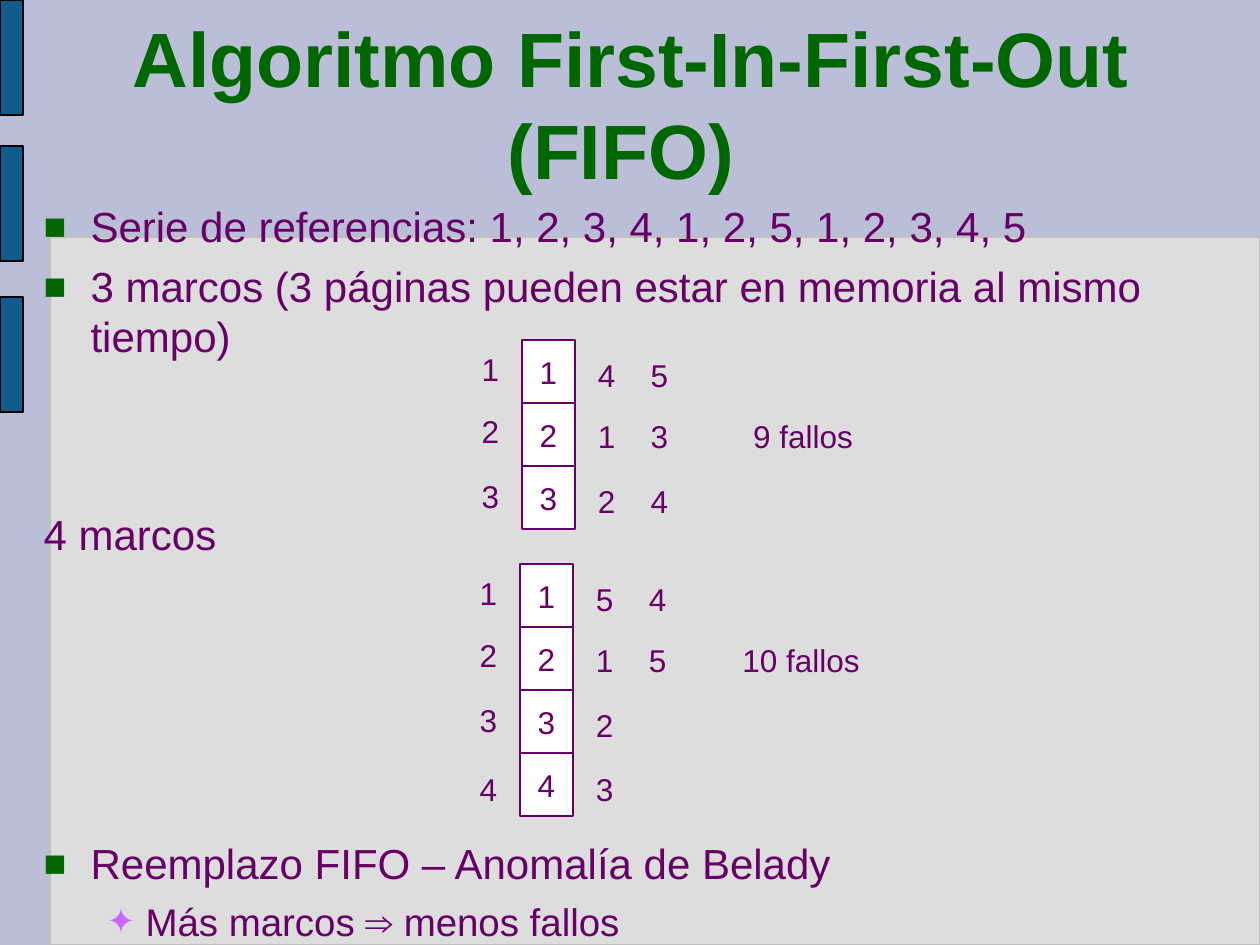
from dataclasses import dataclass

from lxml import etree
from pptx import Presentation
from pptx.dml.color import RGBColor
from pptx.enum.shapes import MSO_SHAPE
from pptx.enum.text import MSO_ANCHOR, MSO_AUTO_SIZE, PP_ALIGN
from pptx.oxml.ns import qn
from pptx.util import Emu, Pt

RECT = MSO_SHAPE.RECTANGLE
MIDDLE, TOP = MSO_ANCHOR.MIDDLE, MSO_ANCHOR.TOP
CENTER, LEFT = PP_ALIGN.CENTER, PP_ALIGN.LEFT
FIXED = MSO_AUTO_SIZE.NONE


@dataclass(frozen=True)
class Theme:
    font: str = "Arial"
    back: str = "BABED6"
    panel: str = "DDDDDD"
    edge: str = "C0C0C0"
    bar: str = "125C8D"
    black: str = "000000"
    white: str = "FFFFFF"
    green: str = "006600"
    ink: str = "660066"
    star: str = "CC66FF"
    title: int = 44
    body: int = 24
    sub: int = 22
    label: int = 18


THEME = Theme()

TITLE = "Algoritmo First-In-First-Out (FIFO) "
SQUARE = dict(mark="■", tint=THEME.green, indent=47, hang=47)
STAR = dict(mark="✦", tint=THEME.star, indent=102, hang=39, level=1, size=THEME.sub)
PLAIN = dict(indent=47, hang=47)
# text, gap above in px, format
ITEMS = [
    ("Serie de referencias: 1, 2, 3, 4, 1, 2, 5, 1, 2, 3, 4, 5", 0, SQUARE),
    ("3 marcos (3 páginas pueden estar en memoria al mismo tiempo)", 10, SQUARE),
    ("4 marcos", 148, PLAIN),
    ("Reemplazo FIFO – Anomalía de Belady", 279, SQUARE),
    ("Más marcos ⇒ menos fallos", 6, STAR),
]
# The columns after the frames hold the pages that replace the first ones.
STACKS = [
    dict(left=522, top=340, frames="123", later=["412", "534"], faults="9 fallos"),
    dict(left=520, top=564, frames="1234", later=["5123", "45"], faults="10 fallos"),
]
BARS = [0, 146, 297]

LINE = 50
CELL_W, CELL_H = 53, 63
TAG_W, TAG_H = 43, 50
INDEX_X, LATER_X, LATER_STEP = -53, 63, 53
INDEX_Y = [4, 66, 131, 200]
LATER_Y = [10, 71, 136, 200]
FAULT_X, FAULT_W = 210, 142


def px(n):
    return Emu(round(n * 914400 / 126))


def rgb(code):
    return RGBColor.from_string(code)


def put(frame, text, new=False, size=THEME.label, color=THEME.ink, bold=False,
        align=CENTER, anchor=MIDDLE, wrap=False, level=0, gap=0, line=None,
        indent=0, hang=0, mark=None, tint=None):
    """Write one paragraph, in the first one of the frame unless new is set."""
    frame.word_wrap = wrap
    frame.auto_size = FIXED
    frame.vertical_anchor = anchor
    para = frame.add_paragraph() if new else frame.paragraphs[0]
    para.alignment, para.level, para.space_before = align, level, px(gap)
    if line:
        para.line_spacing = px(line)
    run = para.add_run()
    run.text = text
    font = run.font
    font.name, font.size, font.bold = THEME.font, Pt(size), bold
    font.color.rgb = rgb(color)

    props = para._p.get_or_add_pPr()
    props.set("marL", str(px(indent)))
    props.set("indent", str(-px(hang)))
    if mark:
        hue = etree.SubElement(props, qn("a:buClr"))
        etree.SubElement(hue, qn("a:srgbClr"), val=tint)
        etree.SubElement(props, qn("a:buSzPct"), val="90000")
        etree.SubElement(props, qn("a:buChar"), char=mark)
    else:
        etree.SubElement(props, qn("a:buNone"))


def box(slide, x, y, w, h, fill, edge):
    shape = slide.shapes.add_shape(RECT, px(x), px(y), px(w), px(h))
    shape.shadow.inherit = False
    shape.fill.solid()
    shape.fill.fore_color.rgb = rgb(fill)
    shape.line.color.rgb = rgb(edge)
    shape.line.width = Pt(0.75)
    return shape


def tag(slide, x, y, text, w=TAG_W):
    area = slide.shapes.add_textbox(px(x), px(y), px(w), px(TAG_H))
    put(area.text_frame, text)


def place(holder, x, y, w, h):
    """Set the box of a placeholder and bring it to the front."""
    holder.left, holder.top = px(x), px(y)
    holder.width, holder.height = px(w), px(h)
    holder.element.getparent().append(holder.element)
    return holder.text_frame


def draw_stack(slide, left, top, frames, later, faults):
    for row, page in enumerate(frames):
        cell = box(slide, left, top + row * CELL_H, CELL_W, CELL_H,
                   THEME.white, THEME.ink)
        put(cell.text_frame, page)
        tag(slide, left + INDEX_X, top + INDEX_Y[row], str(row + 1))
    for col, pages in enumerate(later):
        for page, y in zip(pages, LATER_Y):
            tag(slide, left + LATER_X + col * LATER_STEP, top + y, page)
    tag(slide, left + FAULT_X, top + LATER_Y[1], faults, FAULT_W)


def main():
    deck = Presentation()
    deck.slide_width, deck.slide_height = px(1260), px(945)
    slide = deck.slides.add_slide(deck.slide_layouts[1])
    slide.background.fill.solid()
    slide.background.fill.fore_color.rgb = rgb(THEME.back)

    box(slide, 50, 237, 1210, 708, THEME.panel, THEME.edge)
    for y in BARS:
        box(slide, 0, y, 23, 115, THEME.bar, THEME.black)

    head = place(slide.shapes.title, 31, 4, 1201, 198)
    put(head, TITLE, size=THEME.title, color=THEME.green, bold=True, wrap=True)

    body = place(slide.placeholders[1], 31, 195, 1197, 762)
    for i, (text, gap, style) in enumerate(ITEMS):
        look = dict(size=THEME.body) | style
        put(body, text, new=i > 0, gap=gap, line=LINE, align=LEFT,
            anchor=TOP, wrap=True, **look)

    for stack in STACKS:
        draw_stack(slide, **stack)
    deck.save("out.pptx")


if __name__ == "__main__":
    main()
